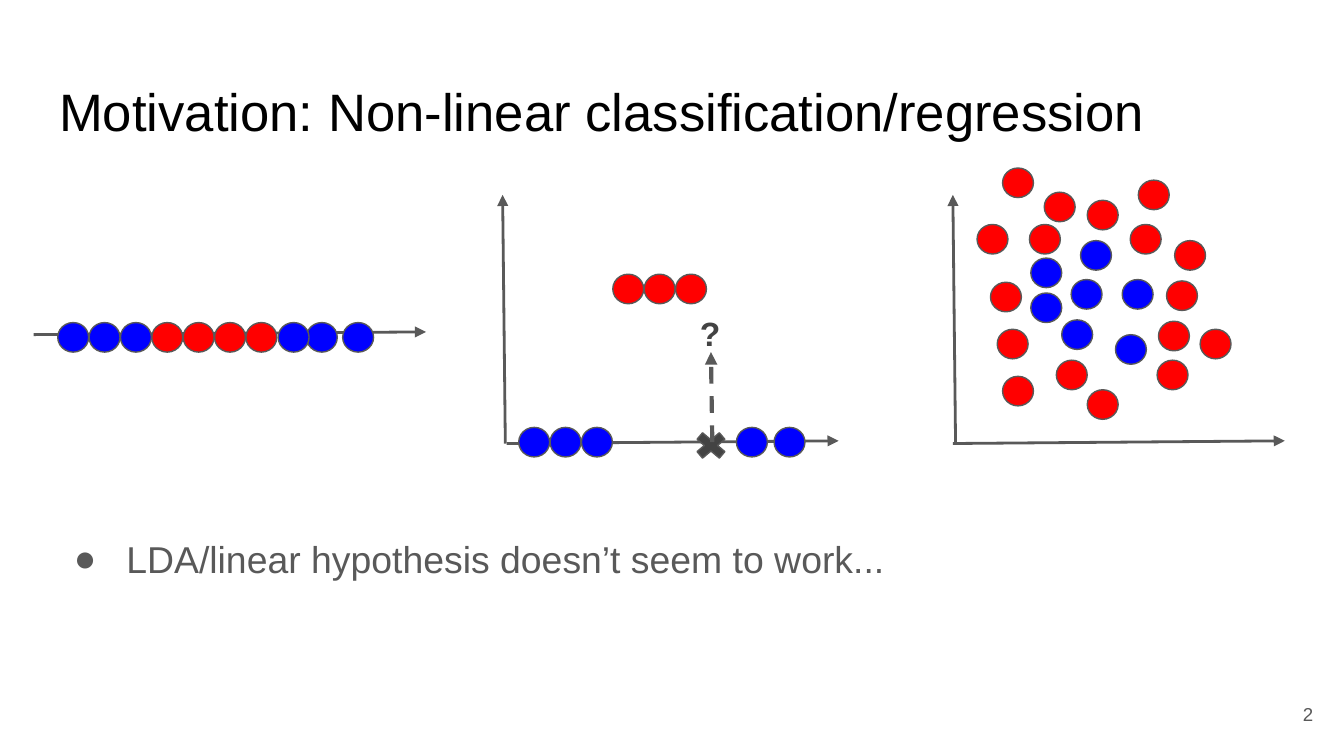
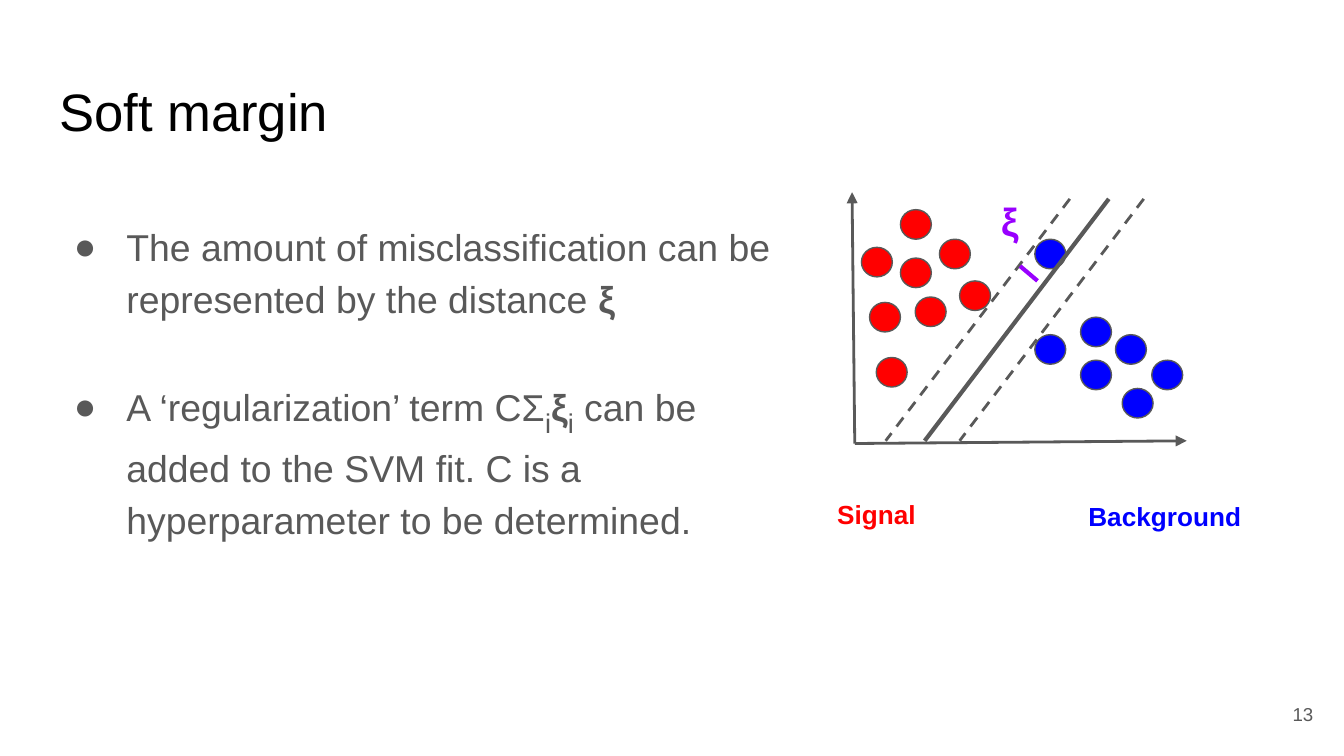
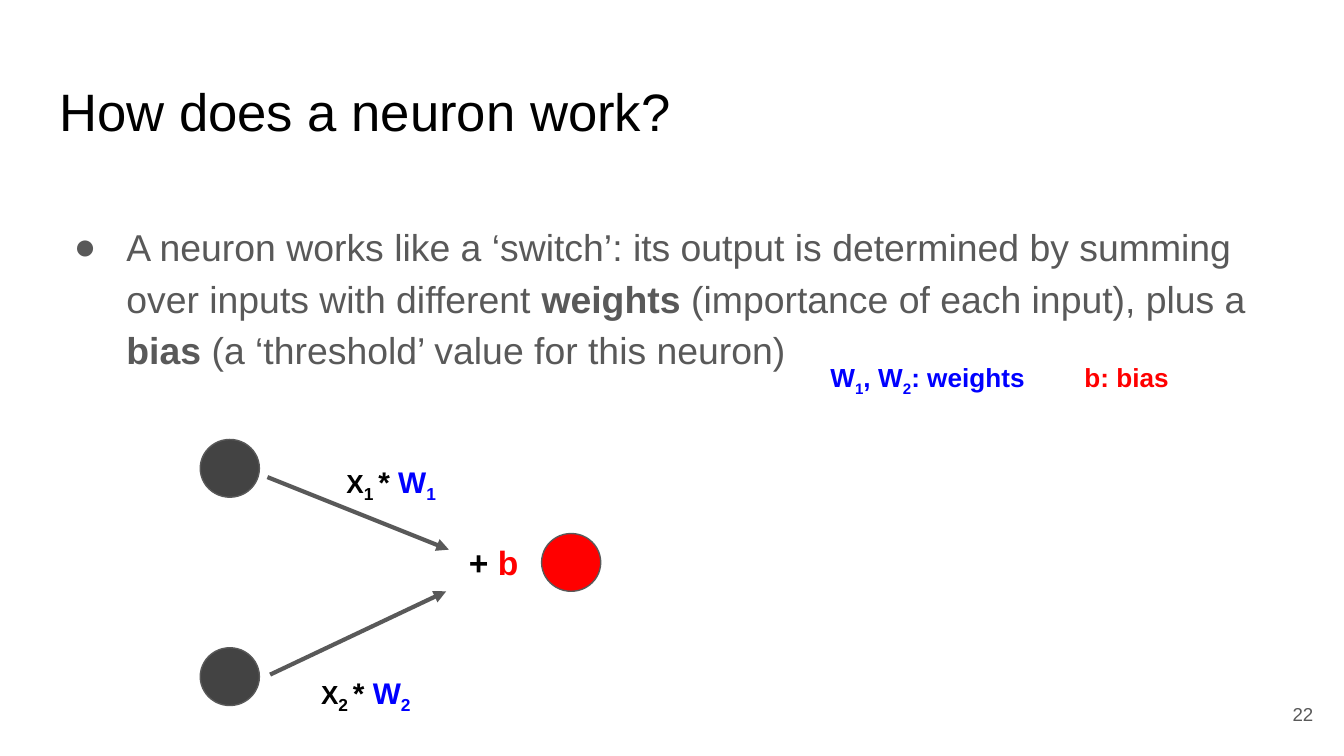
"""Build three machine learning slides: non-linear data, soft margin and a neuron."""
import dataclasses

import lxml.etree
import pptx
import pptx.dml.color
import pptx.enum.dml
import pptx.enum.shapes
import pptx.enum.text
import pptx.oxml.ns
import pptx.util

Inches = pptx.util.Inches
Shape = pptx.enum.shapes.MSO_SHAPE
AutoSize = pptx.enum.text.MSO_AUTO_SIZE
Anchor = pptx.enum.text.MSO_ANCHOR
Align = pptx.enum.text.PP_ALIGN


@dataclasses.dataclass(frozen=True)
class Theme:
    font: str = "Arial"
    black: str = "000000"
    gray: str = "595959"
    dark: str = "434343"
    red: str = "FF0000"
    blue: str = "0000FF"
    purple: str = "9900FF"
    title_size: float = 28.2
    body_size: float = 20
    subscript_size: float = 25
    symbol_size: float = 18
    greek_size: float = 21
    term_size: float = 16
    label_size: float = 14
    number_size: float = 10
    outline: float = 0.75
    thin: float = 1.5
    thick: float = 2.25


@dataclasses.dataclass(frozen=True)
class Run:
    text: str
    size: float = None
    color: str = None
    bold: bool = None
    subscript: bool = False


def rgb(color):
    return pptx.dml.color.RGBColor.from_string(color)


def add_child(parent, tag, **attributes):
    return lxml.etree.SubElement(parent, pptx.oxml.ns.qn(tag), attributes)


class Deck:
    dot_width, dot_height, dot_pitch = 0.23, 0.22, 0.7 / 3

    def __init__(self, theme):
        self.theme = theme
        self.presentation = pptx.Presentation()
        self.presentation.slide_width = Inches(10)
        self.presentation.slide_height = Inches(10) * 9 // 16
        self.slide = None

    def start(self, title, number):
        theme = self.theme
        self.slide = self.presentation.slides.add_slide(self.presentation.slide_layouts[1])
        shape = self.slide.shapes.title
        self.place(shape, 0.34, 0.49, 9.32, 0.63)
        self.fill_paragraph(shape.text_frame.paragraphs[0], [Run(title)],
                            theme.title_size, theme.black, False)
        self.text([Run(str(number))], 9.27, 5.1, 0.6, 0.43, theme.number_size, theme.gray,
                  bold=False, align=Align.RIGHT, anchor=Anchor.MIDDLE, fit=AutoSize.NONE)

    def place(self, shape, left, top, width, height):
        shape.left, shape.top = Inches(left), Inches(top)
        shape.width, shape.height = Inches(width), Inches(height)
        self.frame(shape.text_frame, AutoSize.NONE)

    def frame(self, frame, fit, anchor=Anchor.TOP):
        frame.word_wrap = True
        frame.auto_size = fit
        frame.vertical_anchor = anchor
        frame.margin_left = frame.margin_right = Inches(0.1)
        frame.margin_top = frame.margin_bottom = Inches(0.1)

    def style(self, font, size, color, bold):
        font.name = self.theme.font
        font.size = pptx.util.Pt(size)
        font.bold = bold
        font.color.rgb = rgb(color)

    def fill_paragraph(self, paragraph, runs, size, color, bold, align=Align.LEFT):
        paragraph.alignment = align
        for part in runs:
            run = paragraph.add_run()
            run.text = part.text
            font = run.font if len(runs) > 1 else paragraph.font
            self.style(font, part.size or size, part.color or color,
                       bold if part.bold is None else part.bold)
            if part.subscript:
                run._r.get_or_add_rPr().set("baseline", "-25000")

    def text(self, runs, left, top, width, height, size, color, bold=True, align=Align.LEFT,
             anchor=Anchor.TOP, fit=AutoSize.SHAPE_TO_FIT_TEXT, indent=0):
        shape = self.slide.shapes.add_textbox(*map(Inches, (left, top, width, height)))
        self.frame(shape.text_frame, fit, anchor)
        paragraph = shape.text_frame.paragraphs[0]
        self.fill_paragraph(paragraph, runs, size, color, bold, align)
        if indent:
            paragraph._p.get_or_add_pPr().set("marL", str(Inches(indent)))

    def bullets(self, items, top=1.52, width=9.32, height=3.74, gap=24):
        theme = self.theme
        shape = self.slide.placeholders[1]
        self.place(shape, 0.34, top, width, height)
        for index, runs in enumerate(items):
            frame = shape.text_frame
            paragraph = frame.add_paragraph() if index else frame.paragraphs[0]
            paragraph.line_spacing = 1.15
            paragraph.space_before = pptx.util.Pt(gap if index else 0)
            properties = paragraph._p.get_or_add_pPr()
            properties.set("marL", str(Inches(0.5)))
            properties.set("indent", str(Inches(-0.39)))
            add_child(add_child(properties, "a:buClr"), "a:srgbClr", val=theme.gray)
            add_child(properties, "a:buFont", typeface=theme.font)
            add_child(properties, "a:buChar", char="●")
            self.fill_paragraph(paragraph, runs, theme.body_size, theme.gray, False)

    def shape(self, kind, left, top, width, height, color):
        shape = self.slide.shapes.add_shape(kind, *map(Inches, (left, top, width, height)))
        shape.shadow.inherit = False
        shape.fill.solid()
        shape.fill.fore_color.rgb = rgb(color)
        shape.line.color.rgb = rgb(self.theme.gray)
        shape.line.width = pptx.util.Pt(self.theme.outline)
        return shape

    def dots(self, color, positions):
        for left, top in positions:
            self.shape(Shape.OVAL, left, top, self.dot_width, self.dot_height, color)

    def dot_row(self, color, left, top, count):
        self.dots(color, [(left + index * self.dot_pitch, top) for index in range(count)])

    def neuron(self, left, top, color):
        self.shape(Shape.OVAL, left, top, 0.44, 0.43, color)

    def line(self, start, end, width, color=None, dashed=False, arrow=False):
        connector = self.slide.shapes.add_connector(
            pptx.enum.shapes.MSO_CONNECTOR.STRAIGHT, *map(Inches, (*start, *end)))
        connector.line.color.rgb = rgb(color or self.theme.gray)
        connector.line.width = pptx.util.Pt(width)
        if dashed:
            connector.line.dash_style = pptx.enum.dml.MSO_LINE.DASH
        if arrow:
            add_child(connector.line._get_or_add_ln(), "a:tailEnd", type="triangle")
        add_child(connector._element.spPr, "a:effectLst")

    def axes(self, across, up, top=1.45):
        self.line((across, 3.3), (across + 2.47, 3.28), self.theme.thin, arrow=True)
        self.line((up, 3.3), (up - 0.02, top), self.theme.thin, arrow=True)


def motivation(deck):
    theme = deck.theme
    deck.start("Motivation: Non-linear classification/regression", 2)
    deck.bullets([[Run("LDA/linear hypothesis doesn’t seem to work...")]], top=3.84, height=0.54)

    deck.line((0.25, 2.49), (3.17, 2.47), theme.thin, arrow=True)
    deck.dot_row(theme.blue, 0.43, 2.4, 3)
    deck.dot_row(theme.red, 1.13, 2.4, 4)
    deck.dots(theme.blue, [(2.28, 2.4), (2.07, 2.4), (2.55, 2.4)])

    deck.axes(3.77, 3.76)
    deck.dot_row(theme.blue, 3.86, 3.18, 3)
    deck.dots(theme.blue, [(5.48, 3.18), (5.76, 3.18)])
    deck.dot_row(theme.red, 4.56, 2.04, 3)
    cross = deck.shape(Shape.MATH_MULTIPLY, 5.13, 3.18, 0.32, 0.27, theme.dark)
    cross.adjustments[0] = 0.235
    deck.line((5.3, 3.29), (5.29, 2.62), theme.thick, dashed=True, arrow=True)
    deck.text([Run("?")], 5.11, 2.23, 0.37, 0.5, theme.symbol_size, theme.dark)

    deck.axes(7.09, 7.11)
    deck.dots(theme.blue, [(7.9, 2.38), (7.97, 2.08), (7.67, 1.92), (8.35, 2.08),
                           (7.67, 2.18), (8.04, 1.79), (8.3, 2.49)])
    deck.dots(theme.red, [(8.47, 1.34), (7.46, 2.8), (8.74, 1.79), (7.27, 1.67), (7.37, 2.1),
                          (7.46, 1.25), (8.09, 1.49), (8.61, 2.68), (7.66, 1.67), (8.62, 2.39),
                          (7.77, 1.43), (7.42, 2.45), (8.93, 2.45), (8.09, 2.9), (7.86, 2.68),
                          (8.41, 1.67), (8.68, 2.09)])


def soft_margin(deck):
    theme = deck.theme
    index = Run("i", size=theme.subscript_size, subscript=True)
    deck.start("Soft margin", 13)
    deck.bullets([
        [Run("The amount of misclassification can be represented by the distance "),
         Run("ξ", bold=True)],
        [Run("A ‘regularization’ term CΣ"), index, Run("ξ", bold=True), index,
         Run(" can be added to the SVM fit. C is a hyperparameter to be determined.")],
    ], width=5.78)

    deck.axes(6.36, 6.36, top=1.43)
    deck.dots(theme.blue, [(8.04, 2.68), (8.04, 2.36), (8.57, 2.68), (7.7, 1.78),
                           (8.35, 2.89), (7.7, 2.49), (8.3, 2.49)])
    deck.dots(theme.red, [(6.52, 2.66), (6.47, 2.25), (6.99, 1.78), (6.7, 1.56),
                          (7.14, 2.09), (6.41, 1.84), (6.81, 2.21), (6.7, 1.92)])
    for foot, width, dashed in ((6.88, theme.thick, False), (6.59, theme.thin, True),
                                (7.14, theme.thin, True)):
        deck.line((foot + 1.37, 1.48), (foot, 3.28), width, dashed=dashed)
    deck.line((7.59, 1.98), (7.72, 2.09), theme.thick, color=theme.purple)
    deck.text([Run(" ξ")], 7.27, 1.37, 1.02, 0.56, theme.greek_size, theme.purple)
    deck.text([Run("Signal")], 6.13, 3.61, 1.02, 0.44, theme.label_size, theme.red)
    deck.text([Run("Background")], 8, 3.62, 1.37, 0.44, theme.label_size, theme.blue)


def neuron(deck):
    theme = deck.theme
    deck.start("How does a neuron work?", 22)
    deck.bullets([[
        Run("A neuron works like a ‘switch’: its output is determined by summing over inputs "
            "with different "),
        Run("weights", bold=True), Run(" (importance of each input), plus a "),
        Run("bias", bold=True), Run(" (a ‘threshold’ value for this neuron)"),
    ]])

    deck.neuron(4.03, 3.97, theme.red)
    for top in (3.27, 4.82):
        deck.neuron(1.49, top, theme.dark)
    for start, end in (((1.99, 3.55), (3.34, 4.09)), ((2.01, 5.02), (3.32, 4.4))):
        deck.line(start, end, theme.thick, arrow=True)
    for number, left, top, width, height in (("1", 2.48, 3.35, 1.26, 0.47),
                                             ("2", 2.29, 4.92, 1.31, 0.74)):
        deck.text([Run("X", size=theme.label_size), Run(number + " ", subscript=True),
                   Run("* "), Run("W", color=theme.blue),
                   Run(number, color=theme.blue, subscript=True)],
                  left, top, width, height, theme.term_size, theme.black)
    deck.text([Run("+ "), Run("b", color=theme.red)], 2.89, 3.93, 1.36, 0.5,
              theme.symbol_size, theme.black, indent=0.5)
    deck.text([Run("W"), Run("1", subscript=True), Run(", W"), Run("2", subscript=True),
               Run(": weights")], 6.08, 2.59, 2.07, 0.44, theme.label_size, theme.blue)
    deck.text([Run("b: bias")], 7.97, 2.59, 1.02, 0.44, theme.label_size, theme.red)


def main():
    deck = Deck(Theme())
    for build in (motivation, soft_margin, neuron):
        build(deck)
    deck.presentation.save("out.pptx")


if __name__ == "__main__":
    main()
